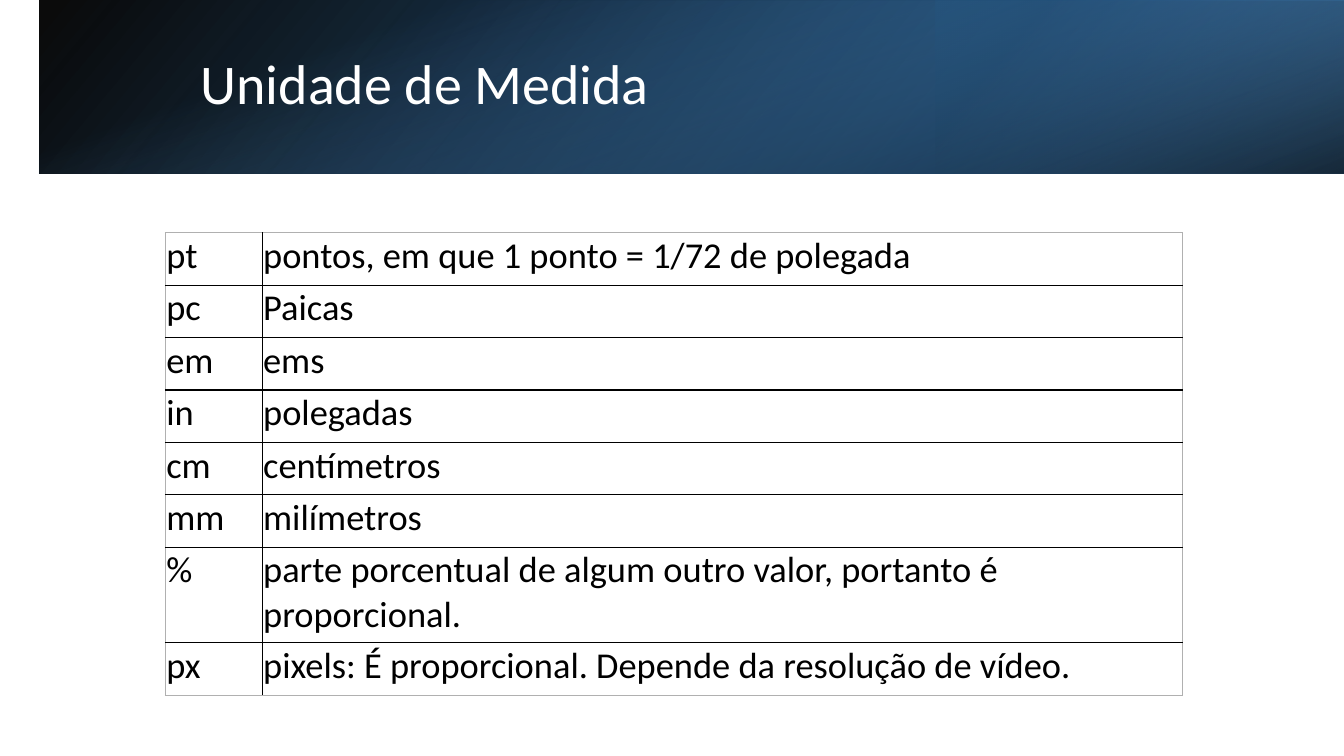
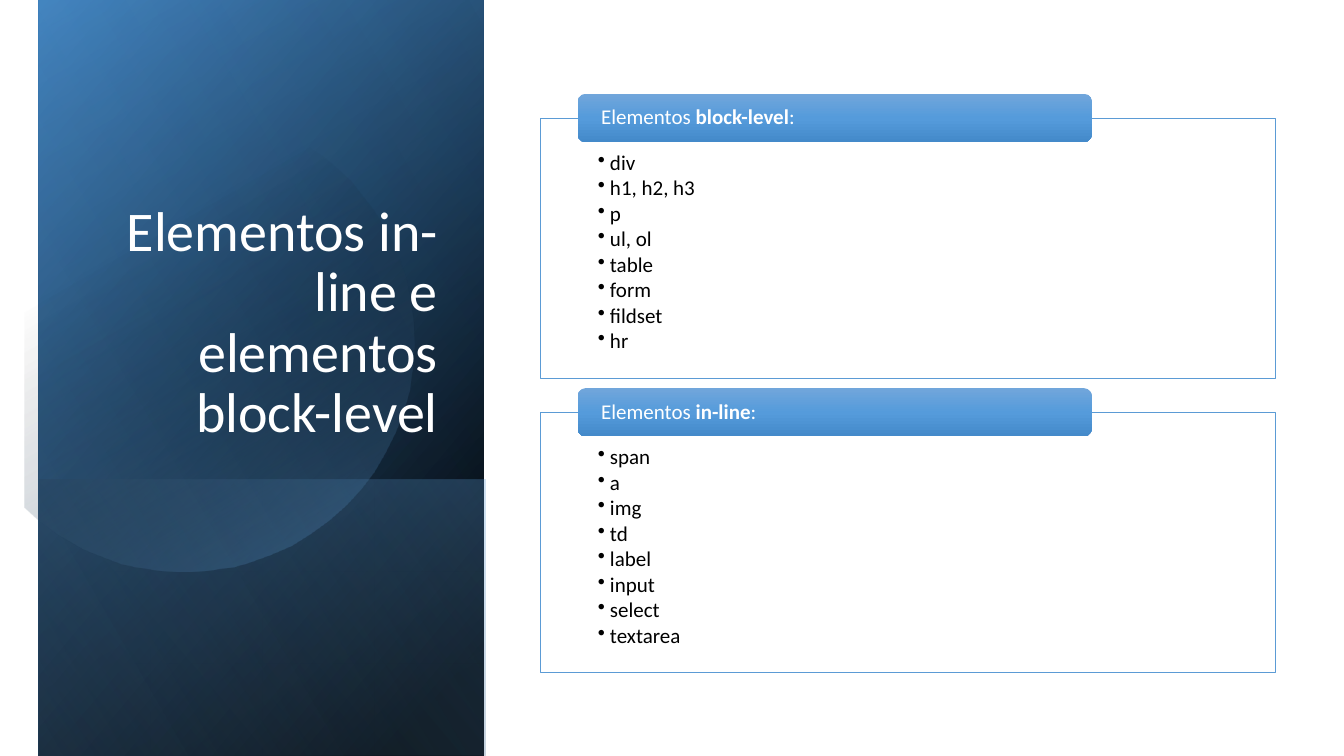
from dataclasses import dataclass

from lxml.etree import SubElement
from pptx import Presentation
from pptx.dml.color import RGBColor
from pptx.enum.shapes import MSO_SHAPE
from pptx.enum.text import MSO_ANCHOR, PP_ALIGN
from pptx.oxml.ns import qn
from pptx.util import Pt

RECTANGLE, ROUNDED = MSO_SHAPE.RECTANGLE, MSO_SHAPE.ROUNDED_RECTANGLE
TOP, MIDDLE, BOTTOM = MSO_ANCHOR.TOP, MSO_ANCHOR.MIDDLE, MSO_ANCHOR.BOTTOM
LEFT, RIGHT = PP_ALIGN.LEFT, PP_ALIGN.RIGHT
PX = 9144  # EMU per px, 100 px to the inch


@dataclass(frozen=True)
class Theme:
    font: str = "Calibri"
    white: str = "FFFFFF"
    black: str = "000000"
    edge: str = "B0B0B0"
    accent: str = "5B9BD5"
    accent_dark: str = "2E75B6"
    accent_deep: str = "1F4E79"
    accent_light: str = "9DC3E6"
    header_stops: tuple = ((0, "71A6DB", 100), (50, "559BDB", 100), (100, "448ACA", 100))
    title_size: int = 40
    table_size: int = 26
    list_size: int = 15


theme = Theme()


def paint_gradient(shape, stops, angle):
    """Fill with (position %, colour, opacity %) stops; no line, no shadow."""
    shape.fill.gradient()
    shape.line.fill.background()
    shape.shadow.inherit = False
    gradient = shape._element.spPr.find(qn("a:gradFill"))
    gradient.find(qn("a:lin")).set("ang", str(angle * 60000))
    stop_list = gradient.find(qn("a:gsLst"))
    for stop in list(stop_list):
        stop_list.remove(stop)
    for position, color, opacity in stops:
        stop = SubElement(stop_list, qn("a:gs"), pos=str(position * 1000))
        rgb = SubElement(stop, qn("a:srgbClr"), val=color)
        SubElement(rgb, qn("a:alpha"), val=str(opacity * 1000))


def add_bands(slide, bands):
    for box, rotation, flipped, angle, stops in bands:
        band = slide.shapes.add_shape(RECTANGLE, *(value * PX for value in box))
        band.rotation = rotation
        if flipped:
            band._element.spPr.find(qn("a:xfrm")).set("flipH", "1")
        paint_gradient(band, stops, angle)


presentation = Presentation()
presentation.slide_width, presentation.slide_height = 1333 * PX, 750 * PX
blank = presentation.slide_layouts[6]
units_slide = presentation.slides.add_slide(blank)
elements_slide = presentation.slides.add_slide(blank)

# Top band of the units slide
add_bands(units_slide, [
    ((39, 0, 1333, 172), 0, True, 140,
     [(0, theme.black, 96), (100, theme.accent_dark, 100)]),
    ((928, 0, 444, 172), 180, True, 320,
     [(19, theme.accent_deep, 68), (100, theme.accent, 79)]),
    ((619, -580, 172, 1333), 90, False, 340,
     [(23, theme.accent, 0), (99, theme.black, 74)]),
])

# Table of units
units = [
    ("pt", "pontos, em que 1 ponto = 1/72 de polegada"),
    ("pc", "Paicas"),
    ("em", "ems"),
    ("in", "polegadas"),
    ("cm", "centímetros"),
    ("mm", "milímetros"),
    ("%", "parte porcentual de algum outro valor, portanto é proporcional."),
    ("px", "pixels: É proporcional. Depende da resolução de vídeo."),
]
column_widths = (96, 913)
row_heights = [95 if unit == "%" else 52 for unit, _ in units]
table = units_slide.shapes.add_table(
    len(units), 2, 164 * PX, 231 * PX, sum(column_widths) * PX, sum(row_heights) * PX).table
table.first_row = table.horz_banding = False
for column, width in zip(table.columns, column_widths):
    column.width = width * PX
for row_index, texts in enumerate(units):
    table.rows[row_index].height = row_heights[row_index] * PX
    for column_index, text in enumerate(texts):
        cell = table.cell(row_index, column_index)
        cell.margin_left = cell.margin_right = cell.margin_top = cell.margin_bottom = PX
        cell.text = text
        font = cell.text_frame.paragraphs[0].font
        font.name, font.size = theme.font, Pt(theme.table_size)
        font.color.rgb = RGBColor.from_string(theme.black)
        outer_sides = {
            "a:lnL": column_index == 0,
            "a:lnR": column_index == len(texts) - 1,
            "a:lnT": row_index == 0,
            "a:lnB": row_index == len(units) - 1,
        }
        properties = cell._tc.get_or_add_tcPr()
        for side, is_outer in outer_sides.items():
            border = SubElement(properties, qn(side), w=str(Pt(1)))
            border_fill = SubElement(border, qn("a:solidFill"))
            SubElement(border_fill, qn("a:srgbClr"), val=theme.edge if is_outer else theme.black)
        cell.fill.background()

# Side panel of the elements slide
panel_box = (-116, 154, 750, 442)
add_bands(elements_slide, [
    (panel_box, 90, True, 50, [(8, theme.black, 100), (100, theme.accent_dark, 100)]),
    (panel_box, 90, True, 30, [(0, theme.black, 0), (99, theme.accent, 46)]),
    ((123, 392, 274, 442), 90, True, 130, [(2, theme.accent, 29), (100, theme.black, 30)]),
])

# Cut disc over the panel: Bézier arcs sampled as short segments
disc_start = (187, 110)
right_arcs = [
    ((285, 112), (374, 177), (402, 275)),
    ((437, 397), (367, 523), (246, 558)),
    ((170, 580), (92, 561), (36, 514)),
]
left_edge = [(24, 503), (24, 175), (39, 161)]
closing_arcs = [
    ((62, 142), (89, 128), (119, 119)),
    ((142, 113), (165, 110), disc_start),
]
steps = 16
outline = []
for start, arcs in ((disc_start, right_arcs), (left_edge[-1], closing_arcs)):
    for first, second, end in arcs:
        for step in range(1, steps + 1):
            t = step / steps
            weights = ((1 - t) ** 3, 3 * t * (1 - t) ** 2, 3 * t * t * (1 - t), t ** 3)
            outline.append(tuple(
                sum(weight * value for weight, value in zip(weights, values))
                for values in zip(start, first, second, end)))
        start = end
    if arcs is right_arcs:
        outline += left_edge
builder = elements_slide.shapes.build_freeform(*disc_start, scale=PX)
builder.add_line_segments(outline, close=True)
paint_gradient(builder.convert_to_shape(), [(29, theme.black, 0), (100, theme.accent, 43)], 60)

add_bands(elements_slide, [
    (panel_box, 90, True, 120, [(0, theme.black, 0), (99, theme.accent_light, 11)]),
])

# Titles
titles = [
    (units_slide, "Unidade de Medida", (189, 38, 1098, 96), MIDDLE, LEFT),
    (elements_slide, "Elementos in-line e elementos block-level", (103, 184, 341, 262),
     BOTTOM, RIGHT),
]
for slide, text, box, anchor, alignment in titles:
    frame = slide.shapes.add_textbox(*(value * PX for value in box)).text_frame
    frame.word_wrap, frame.vertical_anchor = True, anchor
    paragraph = frame.paragraphs[0]
    paragraph.text, paragraph.alignment, paragraph.line_spacing = text, alignment, 0.9
    paragraph.font.name, paragraph.font.size = theme.font, Pt(theme.title_size)
    paragraph.font.color.rgb = RGBColor.from_string(theme.white)

# Framed lists, each with a header tab
element_lists = [
    ("block-level", ["div", "h1, h2, h3", "p", "ul, ol", "table", "form", "fildset", "hr"]),
    ("in-line", ["span", "a", "img", "td", "label", "input", "select", "textarea"]),
]
for index, (kind, items) in enumerate(element_lists):
    frame_top = 117 + index * 292
    list_box = elements_slide.shapes.add_shape(
        RECTANGLE, 536 * PX, frame_top * PX, 729 * PX, 258 * PX)
    list_box.shadow.inherit = False
    list_box.fill.solid()
    list_box.fill.fore_color.rgb = RGBColor.from_string(theme.white)
    list_box.line.color.rgb = RGBColor.from_string(theme.accent)
    list_box.line.width = Pt(0.5)
    frame = list_box.text_frame
    frame.word_wrap, frame.vertical_anchor = True, TOP
    frame.margin_left = frame.margin_right = 57 * PX
    frame.margin_top, frame.margin_bottom = 34 * PX, 12 * PX
    frame.text = "\n".join(items)
    for paragraph in frame.paragraphs:
        paragraph.alignment, paragraph.line_spacing = LEFT, 0.9
        paragraph.space_after = Pt(2)
        paragraph.font.name, paragraph.font.size = theme.font, Pt(theme.list_size)
        paragraph.font.color.rgb = RGBColor.from_string(theme.black)
        properties = paragraph._p.get_or_add_pPr()
        properties.set("marL", str(12 * PX))
        properties.set("indent", str(-12 * PX))
        bullet = properties.makeelement(qn("a:buChar"), {"char": "•"})
        properties.find(qn("a:defRPr")).addprevious(bullet)

    header = elements_slide.shapes.add_shape(
        ROUNDED, 573 * PX, (frame_top - 24) * PX, 510 * PX, 48 * PX)
    paint_gradient(header, theme.header_stops, 90)
    frame = header.text_frame
    frame.word_wrap, frame.vertical_anchor = True, MIDDLE
    frame.margin_left = frame.margin_right = 21 * PX
    frame.margin_top = frame.margin_bottom = 0
    paragraph = frame.paragraphs[0]
    paragraph.alignment, paragraph.line_spacing = LEFT, 0.9
    paragraph.font.name, paragraph.font.size = theme.font, Pt(theme.list_size)
    paragraph.font.color.rgb = RGBColor.from_string(theme.white)
    for text, bold in (("Elementos ", False), (kind, True), (":", False)):
        run = paragraph.add_run()
        run.text, run.font.bold = text, bold

presentation.save("out.pptx")
